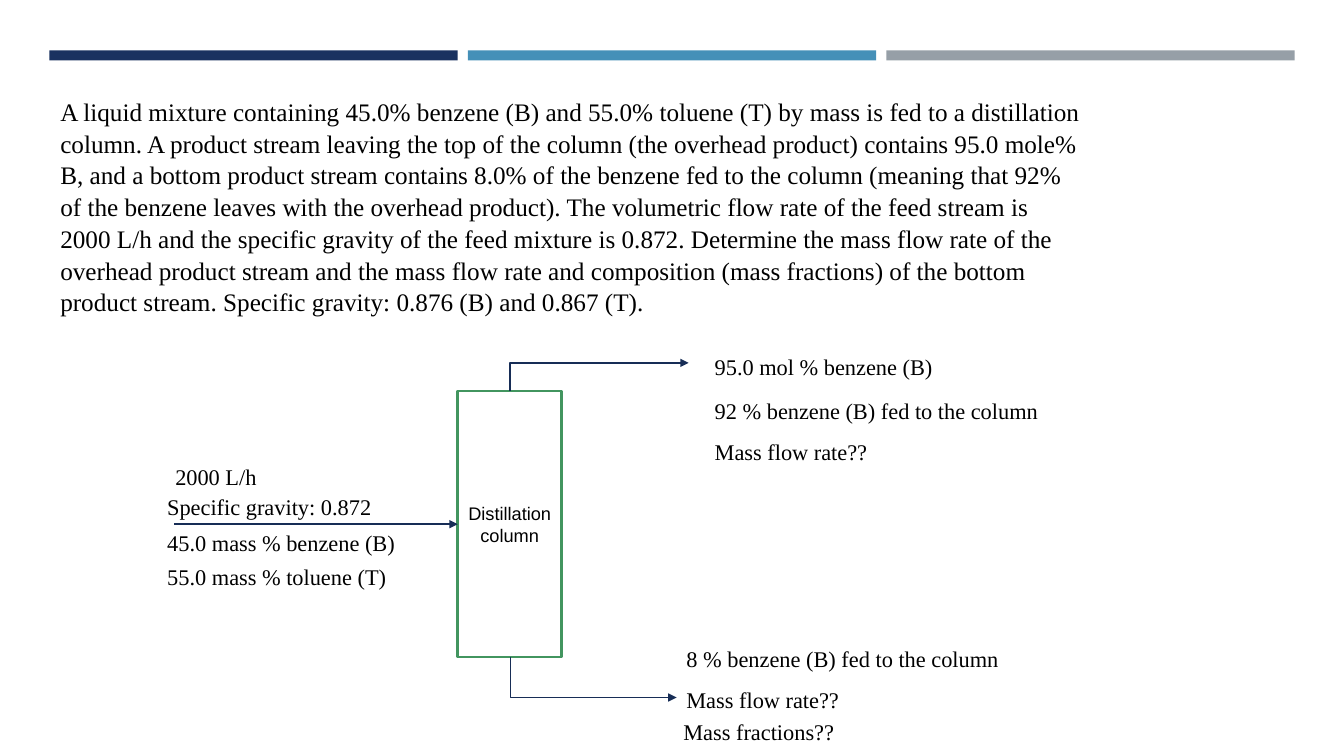
from pptx import Presentation
from pptx import util as u
from pptx.dml import color
from pptx.enum import shapes, text
from pptx.oxml import ns
from lxml import etree

PX = 9144
HUES = {"navy": "1A3260", "blue": "4590B8", "grey": "969FA7", "white": "FFFFFF",
        "green": "42955F", "arrow": "172D56", "black": "000000"}
SERIF, SANS = "Times New Roman", "Arial"

TASK = [
    "A liquid mixture containing 45.0% benzene (B) and 55.0% toluene (T) by mass is fed to a distillation",
    "column. A product stream leaving the top of the column (the overhead product) contains 95.0 mole%",
    "B, and a bottom product stream contains 8.0% of the benzene fed to the column (meaning that 92%",
    "of the benzene leaves with the overhead product). The volumetric flow rate of the feed stream is",
    "2000 L/h and the specific gravity of the feed mixture is 0.872. Determine the mass flow rate of the",
    "overhead product stream and the mass flow rate and composition (mass fractions) of the bottom",
    "product stream. Specific gravity: 0.876 (B) and 0.867 (T).",
]
LABELS = [
    (164, 455, 114, "2000 L/h"),
    (156, 484, 240, "Specific gravity: 0.872"),
    (156, 520, 285, "45.0 mass % benzene (B)"),
    (156, 554, 271, "55.0 mass % toluene (T)"),
    (699, 345, 267, "95.0 mol % benzene (B)"),
    (699, 389, 385, "92 % benzene (B) fed to the column"),
    (699, 430, 196, "Mass flow rate??"),
    (671, 635, 372, "8 % benzene (B) fed to the column"),
    (671, 676, 196, "Mass flow rate??"),
    (668, 707, 190, "Mass fractions??"),
]


def hue(name):
    return color.RGBColor.from_string(HUES[name])


def emu(*sizes):
    return [u.Emu(round(size * PX)) for size in sizes]


class Sheet:
    """Draws styled elements on one slide, with lengths in px."""

    def __init__(self, deck):
        self.items = deck.slides.add_slide(deck.slide_layouts[6]).shapes

    def words(self, frame, lines, size, face, align, space=None):
        frame.word_wrap = True
        for i, line in enumerate(lines):
            para = frame.add_paragraph() if i else frame.paragraphs[0]
            para.text = line
            para.alignment = align
            para.line_spacing = space
            para.font.size = u.Pt(size)
            para.font.name = face
            para.font.color.rgb = hue("black")

    def note(self, x, y, wide, high, lines, size, space=None):
        box = self.items.add_textbox(*emu(x, y, wide, high))
        self.words(box.text_frame, lines, size, SERIF, text.PP_ALIGN.LEFT, space)

    def block(self, x, y, wide, high, fill, edge=None):
        rect = self.items.add_shape(shapes.MSO_SHAPE.RECTANGLE, *emu(x, y, wide, high))
        rect.shadow.inherit = False
        rect.fill.solid()
        rect.fill.fore_color.rgb = hue(fill)
        if edge:
            rect.line.color.rgb = hue(edge)
            rect.line.width = u.Pt(1.75)
        else:
            rect.line.fill.background()
        return rect

    def tower(self, x, y, wide, high, label):
        rect = self.block(x, y, wide, high, "white", "green")
        frame = rect.text_frame
        frame.margin_left = frame.margin_right = emu(5)[0]
        frame.vertical_anchor = text.MSO_ANCHOR.MIDDLE
        self.words(frame, [label], 13, SANS, text.PP_ALIGN.CENTER)
        return rect

    def arrow(self, x1, y1, x2, y2, kind=shapes.MSO_CONNECTOR.STRAIGHT):
        link = self.items.add_connector(kind, *emu(x1, y1, x2, y2))
        link.line.color.rgb = hue("arrow")
        link.line.width = u.Pt(1)
        props = link._element.spPr
        etree.SubElement(props.find(ns.qn("a:ln")), ns.qn("a:tailEnd"), type="triangle")
        etree.SubElement(props, ns.qn("a:effectLst"))
        return link

    def bend(self, x1, y1, x2, y2):
        midx, midy = (x1 + x2) / 2, (y1 + y2) / 2
        dx, dy = (x2 - x1) / 2, (y2 - y1) / 2
        link = self.arrow(midx + dy, midy - dx, midx - dy, midy + dx,
                          shapes.MSO_CONNECTOR.ELBOW)
        props = link._element.spPr
        props.find(ns.qn("a:xfrm")).set("rot", str(270 * 60000))
        props.find(ns.qn("a:prstGeom")).set("prst", "bentConnector2")


def main():
    deck = Presentation()
    deck.slide_width, deck.slide_height = emu(1333, 750)
    sheet = Sheet(deck)
    for i, fill in enumerate(("navy", "blue", "grey")):
        sheet.block(49 + 415 * i, 50, 405, 10, fill)
    sheet.note(50, 89, 1164, 222, TASK, 18, 1.05)
    tower = sheet.tower(454, 388, 103, 264, "Distillation column")
    sheet.bend(506, 388, 683, 360)
    sheet.bend(506, 652, 671, 692)
    sheet.arrow(173, 520, 454, 520).end_connect(tower, 1)
    for x, y, wide, label in LABELS:
        sheet.note(x, y, wide, 31, [label], 16)
    deck.save("out.pptx")


if __name__ == "__main__":
    main()
